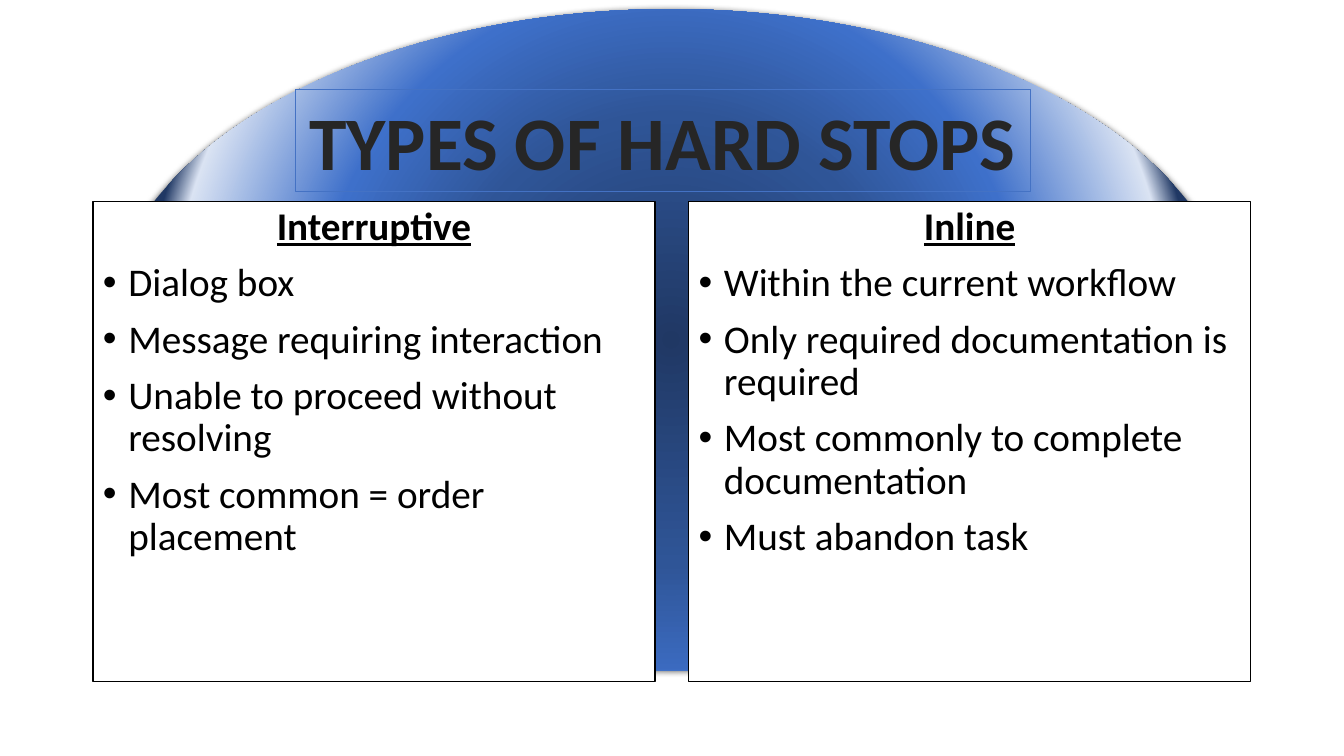
from lxml import etree
from pptx import Presentation
from pptx.dml.color import RGBColor
from pptx.enum.shapes import MSO_SHAPE
from pptx.enum.text import MSO_ANCHOR, MSO_AUTO_SIZE, PP_ALIGN
from pptx.oxml import parse_xml
from pptx.oxml.ns import qn
from pptx.util import Cm, Pt

ELLIPSE = MSO_SHAPE.OVAL
CENTER, LEFT = PP_ALIGN.CENTER, PP_ALIGN.LEFT
TOP, MIDDLE = MSO_ANCHOR.TOP, MSO_ANCHOR.MIDDLE
NO_FIT, GROW = MSO_AUTO_SIZE.NONE, MSO_AUTO_SIZE.SHAPE_TO_FIT_TEXT
TWO_CONTENT = 3
NAMESPACE = 'xmlns:a="http://schemas.openxmlformats.org/drawingml/2006/main"'
GLOW_STOPS = [(0, "203864"), (34, "2F5597"), (54, "3E70CA"),
              (76, "DAE3F3"), (80, "203864"), (97, "203864")]
COLUMNS = [
    ("Interruptive", ["Dialog box", "Message requiring interaction",
                      "Unable to proceed without resolving",
                      "Most common = order placement"]),
    ("Inline", ["Within the current workflow",
                "Only required documentation is required",
                "Most commonly to complete documentation",
                "Must abandon task"]),
]


def color(value):
    return RGBColor.from_string(value)


def add_span(para, text, size, value, bold):
    span = para.add_run()
    span.text = text
    span.font.name = "Calibri"
    span.font.size = Pt(size)
    span.font.bold = bold
    span.font.color.rgb = color(value)
    return span


deck = Presentation()
deck.slide_width, deck.slide_height = Cm(33.87), Cm(19.05)
page = deck.slides.add_slide(deck.slide_layouts[TWO_CONTENT])

glow = page.shapes.add_shape(ELLIPSE, Cm(2.57), Cm(0.23), Cm(28.68), Cm(16.66))
glow.line.fill.background()
glow.shadow.inherit = False
stops = "".join(f'<a:gs pos="{position * 1000}"><a:srgbClr val="{value}"/></a:gs>'
                for position, value in GLOW_STOPS)
gradient = parse_xml(
    f'<a:gradFill {NAMESPACE} rotWithShape="1"><a:gsLst>{stops}</a:gsLst>'
    '<a:path path="circle"><a:fillToRect l="50000" t="50000" r="50000" b="50000"/>'
    '</a:path></a:gradFill>')
properties = glow._element.spPr
properties.find(qn("a:prstGeom")).addnext(gradient)
properties.find(qn("a:effectLst")).append(parse_xml(
    f'<a:outerShdw {NAMESPACE} blurRad="57150" dist="19050" dir="5400000" '
    'algn="ctr" rotWithShape="0"><a:srgbClr val="000000"><a:alpha val="63000"/>'
    '</a:srgbClr></a:outerShdw>'))
page.shapes._spTree.insert(2, glow._element)

for index, (heading, items) in enumerate(COLUMNS):
    box = page.placeholders[index + 1]
    box.left, box.top = Cm(2.34 + index * 15.01), Cm(5.08)
    box.width, box.height = Cm(14.17), Cm(12.09)
    box.fill.solid()
    box.fill.fore_color.rgb = color("FFFFFF")
    box.line.color.rgb = color("000000")
    box.line.width = Pt(1)
    frame = box.text_frame
    frame.word_wrap = True
    frame.auto_size = NO_FIT
    frame.vertical_anchor = TOP
    for row, text in enumerate([heading] + items):
        is_heading = row == 0
        para = frame.paragraphs[0] if is_heading else frame.add_paragraph()
        layout = para._p.get_or_add_pPr()
        indent = Cm(0 if is_heading else 0.64)
        layout.set("marL", str(indent))
        layout.set("indent", str(-indent))
        if is_heading:
            etree.SubElement(layout, qn("a:buNone"))
        else:
            etree.SubElement(layout, qn("a:buFont"), typeface="Arial")
            etree.SubElement(layout, qn("a:buChar"), char="•")
        para.alignment = CENTER if is_heading else LEFT
        para.line_spacing = 0.9
        para.space_before = Pt(0 if is_heading else 10)
        span = add_span(para, text, 28, "000000", is_heading)
        span.font.underline = is_heading

title = page.shapes.title
title.left, title.top = Cm(7.44), Cm(2.26)
title.width, title.height = Cm(18.52), Cm(2.57)
title.fill.background()
title.line.color.rgb = color("4472C4")
title.line.width = Pt(0.75)
frame = title.text_frame
frame.word_wrap = False
frame.auto_size = GROW
frame.vertical_anchor = MIDDLE
para = frame.paragraphs[0]
para.alignment = CENTER
add_span(para, "TYPES OF HARD STOPS", 54, "262626", True)
page.shapes._spTree.append(title._element)

deck.save("out.pptx")
